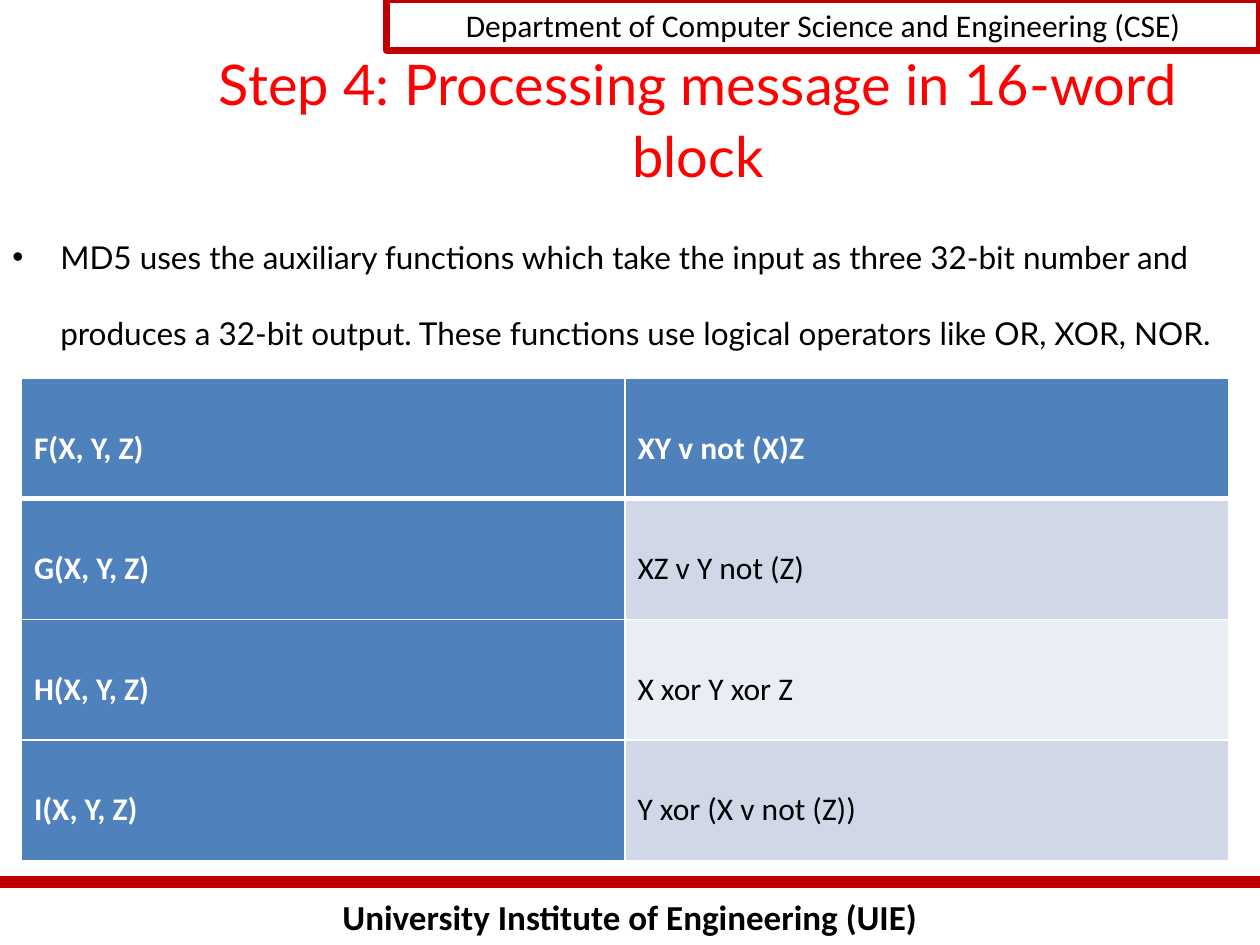
from lxml import etree
from pptx import Presentation
from pptx import util as u
from pptx.dml import color
from pptx.enum import shapes, text
from pptx.oxml import ns

BLACK, WHITE, RED, CRIMSON = "000000", "FFFFFF", "FF0000", "C00000"
BLUE, BAND_DARK, BAND_LIGHT = "4F81BD", "D0D8E8", "E9EDF4"


def rgb(value):
    return color.RGBColor.from_string(value)


def add_element(parent, tag, **attributes):
    return etree.SubElement(parent, ns.qn(tag), attributes)


class SlideBuilder:
    """Holds the style and the current slide."""

    heading_font = "Lato"
    base_font = "Calibri"

    def __init__(self, slide):
        self.slide = slide

    def set_text(self, frame, words, size, ink=BLACK, font=None, bold=False,
                 align=text.PP_ALIGN.LEFT, spacing=None, after=None):
        frame.word_wrap = True
        para = frame.paragraphs[0]
        para.text = words
        para.alignment = align
        if spacing:
            para.line_spacing = spacing
        if after is not None:
            para.space_after = u.Pt(after)
        para.font.name = font or self.base_font
        para.font.size = u.Pt(size)
        para.font.bold = bold
        para.font.color.rgb = rgb(ink)
        return para

    def title(self, words, place):
        box = self.slide.shapes.title
        box.left, box.top, box.width, box.height = map(u.Inches, place)
        frame = box.text_frame
        frame.vertical_anchor = text.MSO_ANCHOR.MIDDLE
        frame.auto_size = text.MSO_AUTO_SIZE.NONE
        self.set_text(frame, words, 32, RED, self.heading_font,
                      align=text.PP_ALIGN.CENTER, spacing=1.07, after=4.6)

    def label(self, words, place, size, **style):
        box = self.slide.shapes.add_textbox(*map(u.Inches, place))
        return self.set_text(box.text_frame, words, size, **style)

    def bullet(self, words, place):
        para = self.label(words, place, 18, font=self.heading_font,
                          spacing=2.0, after=16.6)
        properties = para._p.get_or_add_pPr()
        indent = u.Inches(0.38)
        properties.set("marL", str(indent))
        properties.set("indent", str(-indent))
        # Bullet elements go before the default run properties
        font = etree.Element(ns.qn("a:buFont"), typeface="Arial")
        mark = etree.Element(ns.qn("a:buChar"), char="•")
        defaults = properties.find(ns.qn("a:defRPr"))
        defaults.addprevious(font)
        defaults.addprevious(mark)

    def framed_label(self, words, place):
        box = self.slide.shapes.add_shape(
            shapes.MSO_SHAPE.RECTANGLE, *map(u.Inches, place))
        box.shadow.inherit = False
        box.fill.background()
        box.line.color.rgb = rgb(CRIMSON)
        box.line.width = u.Pt(4)
        box.text_frame.vertical_anchor = text.MSO_ANCHOR.MIDDLE
        self.set_text(box.text_frame, words, 18, align=text.PP_ALIGN.CENTER)

    def rule(self, start, end):
        line = self.slide.shapes.add_connector(
            shapes.MSO_CONNECTOR.STRAIGHT, *map(u.Inches, start + end))
        line.line.color.rgb = rgb(CRIMSON)
        line.line.width = u.Pt(7)
        add_element(line._element.spPr, "a:effectLst")

    def borders(self, cell, bottom, top):
        properties = cell._tc.get_or_add_tcPr()
        widths = {"a:lnL": 1, "a:lnR": 1, "a:lnT": top, "a:lnB": bottom}
        for tag, width in widths.items():
            edge = add_element(properties, tag, w=str(u.Pt(width)))
            paint = add_element(edge, "a:solidFill")
            add_element(paint, "a:srgbClr", val=WHITE)

    def table(self, rows, place):
        grid = self.slide.shapes.add_table(
            len(rows), len(rows[0]), *map(u.Inches, place)).table
        for row_index, row in enumerate(rows):
            for column_index, words in enumerate(row):
                cell = grid.cell(row_index, column_index)
                heading = row_index == 0 or column_index == 0
                band = BAND_DARK if row_index % 2 else BAND_LIGHT
                self.borders(cell, bottom=3 if row_index == 0 else 1,
                             top=3 if row_index == 1 else 1)
                cell.fill.solid()
                cell.fill.fore_color.rgb = rgb(BLUE if heading else band)
                cell.margin_left = cell.margin_right = u.Inches(0.1)
                cell.margin_top = cell.margin_bottom = u.Inches(0.1)
                self.set_text(cell.text_frame, words, 18,
                              WHITE if heading else BLACK, bold=heading,
                              spacing=2.0, after=8)


def main():
    deck = Presentation()
    deck.slide_width, deck.slide_height = u.Inches(10), u.Inches(7.5)
    title_only = deck.slide_layouts[5]
    page = SlideBuilder(deck.slides.add_slide(title_only))

    # Footer and header
    page.label("University Institute of Engineering (UIE)",
               (0, 7.06, 10, 0.44), 20, bold=True,
               align=text.PP_ALIGN.CENTER)
    page.rule((0, 7), (10, 7))
    page.framed_label("Department of Computer Science and Engineering (CSE)",
                      (3.07, 0, 6.93, 0.4))

    # Title and explanation
    page.title("Step 4: Processing message in 16-word block",
               (1.08, 0.33, 8.92, 1.2))
    page.bullet("MD5 uses the auxiliary functions which take the input as "
                "three 32-bit number and produces a 32-bit output. These "
                "functions use logical operators like OR, XOR, NOR.",
                (0, 1.54, 9.92, 5.3))

    # Auxiliary functions
    page.table([
        ("F(X, Y, Z)", "XY v not (X)Z"),
        ("G(X, Y, Z)", "XZ v Y not (Z)"),
        ("H(X, Y, Z)", "X xor Y xor Z"),
        ("I(X, Y, Z)", "Y xor (X v not (Z))"),
    ], (0.17, 3, 9.58, 3.83))

    deck.save("out.pptx")


if __name__ == "__main__":
    main()
